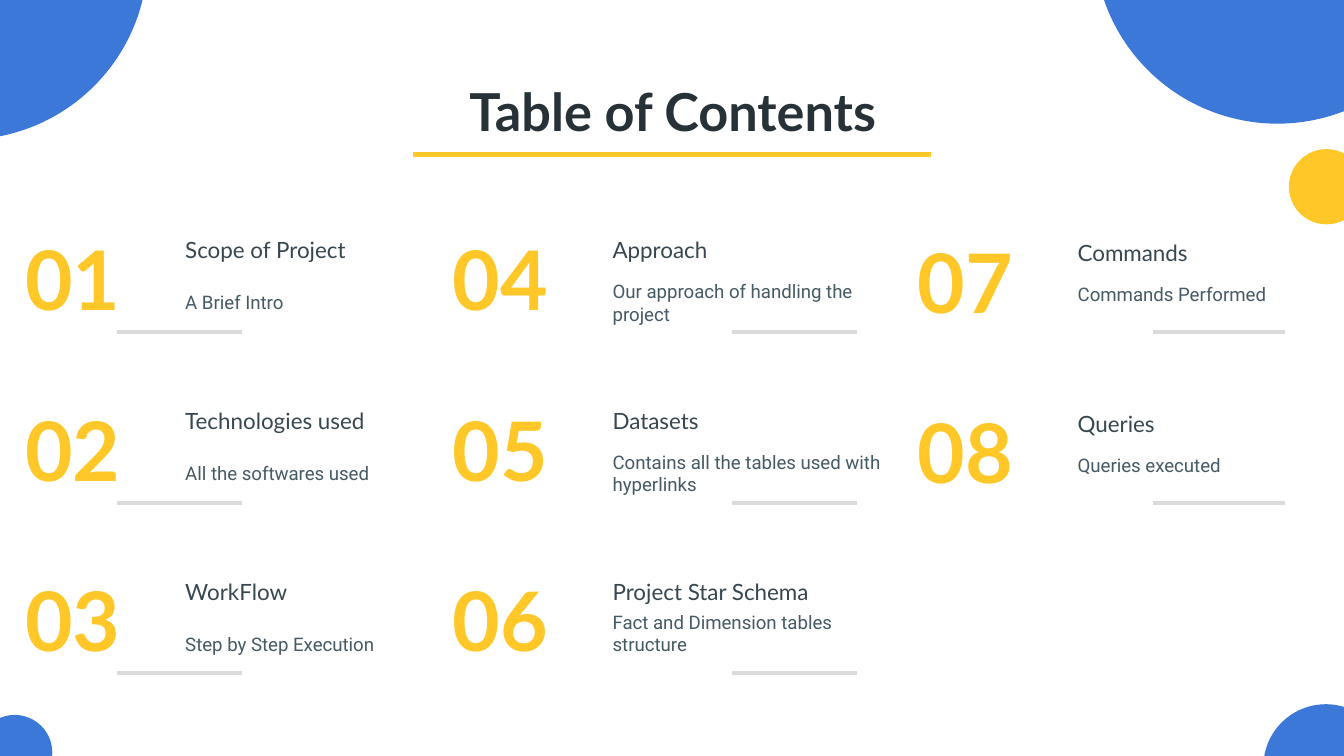
from collections import namedtuple

from lxml import etree
from pptx import Presentation
from pptx.dml.color import RGBColor
from pptx.enum.shapes import MSO_CONNECTOR, MSO_SHAPE
from pptx.enum.text import MSO_ANCHOR, MSO_AUTO_SIZE, PP_ALIGN
from pptx.oxml.ns import qn
from pptx.util import Inches, Pt

STRAIGHT = MSO_CONNECTOR.STRAIGHT
OVAL = MSO_SHAPE.OVAL
TOP, MIDDLE = MSO_ANCHOR.TOP, MSO_ANCHOR.MIDDLE
LEFT, CENTER = PP_ALIGN.LEFT, PP_ALIGN.CENTER
NO_AUTOFIT = MSO_AUTO_SIZE.NONE

BLUE = RGBColor(0x3C, 0x78, 0xD8)
YELLOW = RGBColor(0xFF, 0xC7, 0x27)
GREY = RGBColor(0xDB, 0xDB, 0xDB)
TITLE_INK = RGBColor(0x26, 0x32, 0x38)
HEADING_INK = RGBColor(0x37, 0x47, 0x4F)
CAPTION_INK = RGBColor(0x45, 0x5A, 0x64)

TITLE_FONT, BODY_FONT = "Lato", "Roboto"

# A 16:9 slide
SLIDE_WIDTH = 10
SLIDE_HEIGHT = SLIDE_WIDTH * 9 / 16

# Grid of entries: first row, row pitch, and the parts of one cell
FIRST_ROW, ROW_PITCH = 1.66, 1.27
CELL_HEIGHT, LINE_HEIGHT = 0.81, 0.44
NUMBER_WIDTH, TEXT_INDENT = 1.17, 1.19
HEADING_WIDTH, CAPTION_WIDTH = 2.66, 2.31
NORMAL_CAPTION, CLOSE_CAPTION = 0.37, 0.29

Box = namedtuple("Box", "left top width height")
Column = namedtuple("Column", "left drop rule_left rule_width entries")
Entry = namedtuple("Entry", "heading caption caption_offset")

COLUMNS = [
    Column(0.09, 0, 0.87, 0.93, [
        Entry("Scope of Project", "A Brief Intro", NORMAL_CAPTION),
        Entry("Technologies used", "All the softwares used", NORMAL_CAPTION),
        Entry("WorkFlow", "Step by Step Execution", NORMAL_CAPTION),
    ]),
    Column(3.27, 0, 5.45, 0.93, [
        Entry("Approach", "Our approach of handling the project", NORMAL_CAPTION),
        Entry("Datasets", "Contains all the tables used with hyperlinks", NORMAL_CAPTION),
        Entry("Project Star Schema", "Fact and Dimension tables structure", CLOSE_CAPTION),
    ]),
    Column(6.73, 0.02, 8.58, 0.98, [
        Entry("Commands", "Commands Performed", CLOSE_CAPTION),
        Entry("Queries", "Queries executed", CLOSE_CAPTION),
    ]),
]

# Corner circles: left, top, diameter, colour
CIRCLES = [
    (9.4, 5.24, 0.93, BLUE),
    (8.14, -1.81, 2.73, BLUE),
    (-1.63, -1.69, 2.73, BLUE),
    (9.59, 1.11, 0.56, YELLOW),
    (-0.17, 5.32, 0.56, BLUE),
]


def write_text(shape, text, *, font, size, color, bold=False, align=LEFT,
               anchor=TOP, space_after=0):
    frame = shape.text_frame
    frame.word_wrap = True
    frame.auto_size = NO_AUTOFIT
    frame.vertical_anchor = anchor
    frame.margin_left = frame.margin_right = Inches(0.1)
    frame.margin_top = frame.margin_bottom = Inches(0.1)
    frame.text = text
    paragraph = frame.paragraphs[0]
    paragraph.alignment = align
    paragraph.space_before = Pt(0)
    paragraph.space_after = Pt(space_after)
    paragraph.font.name = font
    paragraph.font.size = Pt(size)
    paragraph.font.bold = bold
    paragraph.font.color.rgb = color


def add_text(slide, box, text, **text_format):
    shape = slide.shapes.add_textbox(*map(Inches, box))
    write_text(shape, text, **text_format)


def add_rule(slide, left, top, width, color):
    rule = slide.shapes.add_connector(
        STRAIGHT, Inches(left), Inches(top), Inches(left + width), Inches(top))
    rule.line.color.rgb = color
    rule.line.width = Pt(2.25)
    etree.SubElement(rule._element.spPr, qn("a:effectLst"))


def add_circles(slide):
    for left, top, diameter, color in CIRCLES:
        circle = slide.shapes.add_shape(
            OVAL, Inches(left), Inches(top), Inches(diameter), Inches(diameter))
        circle.shadow.inherit = False
        circle.fill.solid()
        circle.fill.fore_color.rgb = color
        circle.line.fill.background()


def add_title(slide, box):
    title = slide.shapes.title
    title.left, title.top, title.width, title.height = map(Inches, box)
    write_text(title, "Table of Contents", font=TITLE_FONT, size=28,
               color=TITLE_INK, bold=True, align=CENTER)
    rule_width = 3.86
    add_rule(slide, (SLIDE_WIDTH - rule_width) / 2, box.top + box.height + 0.03,
             rule_width, YELLOW)


def add_entry(slide, box, number, entry):
    add_text(slide, box._replace(width=NUMBER_WIDTH), f"{number:02d}",
             font=TITLE_FONT, size=44, color=YELLOW, bold=True, anchor=MIDDLE)
    text_left = box.left + TEXT_INDENT
    add_text(slide, Box(text_left, box.top, HEADING_WIDTH, LINE_HEIGHT),
             entry.heading, font=TITLE_FONT, size=12, color=HEADING_INK,
             space_after=16)
    add_text(slide, Box(text_left, box.top + entry.caption_offset,
                        CAPTION_WIDTH, LINE_HEIGHT),
             entry.caption, font=BODY_FONT, size=10, color=CAPTION_INK,
             anchor=MIDDLE)


def add_contents(slide):
    number = 1
    for column in COLUMNS:
        for row, entry in enumerate(column.entries):
            top = FIRST_ROW + row * ROW_PITCH
            add_rule(slide, column.rule_left, top + CELL_HEIGHT,
                     column.rule_width, GREY)
            cell = Box(column.left, top + column.drop,
                       TEXT_INDENT + HEADING_WIDTH, CELL_HEIGHT)
            add_entry(slide, cell, number, entry)
            number += 1


def main():
    presentation = Presentation()
    presentation.slide_width = Inches(SLIDE_WIDTH)
    presentation.slide_height = Inches(SLIDE_HEIGHT)
    slide = presentation.slides.add_slide(presentation.slide_layouts[5])

    add_circles(slide)
    add_title(slide, Box(0.79, 0.49, 8.43, 0.63))
    add_contents(slide)

    presentation.save("out.pptx")


if __name__ == "__main__":
    main()
